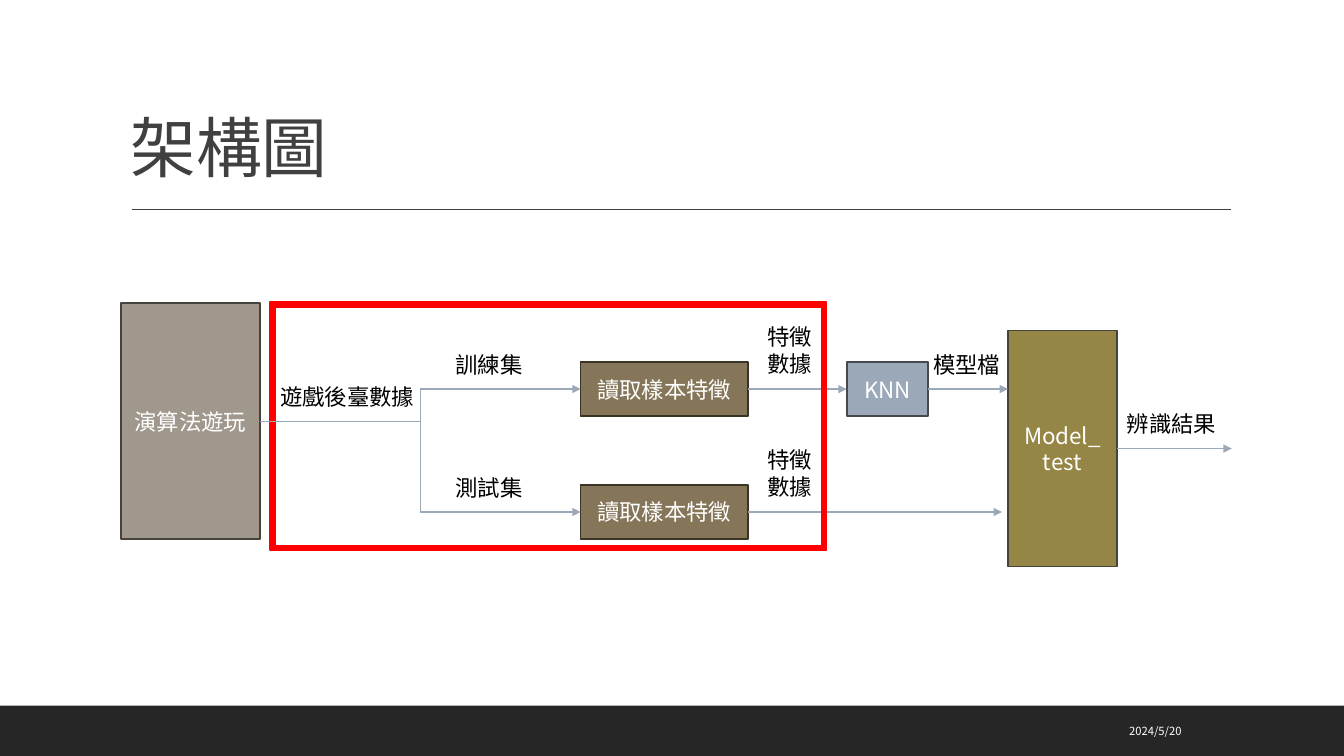
from lxml.etree import SubElement
from pptx import Presentation
from pptx.dml.color import RGBColor
from pptx.enum.shapes import MSO_CONNECTOR as Link, MSO_SHAPE as Shape
from pptx.enum.text import MSO_ANCHOR as Anchor, PP_ALIGN as Align
from pptx.oxml.ns import qn
from pptx.util import Inches, Pt

WIDTH, HEIGHT = Inches(13.333), Inches(7.5)
COLORS = {
    "footer": "262626", "title": "404040", "white": "FFFFFF", "black": "000000",
    "reader": "857659", "reader_edge": "3A3427", "model": "958646",
    "edge": "46433D", "knn": "9BA8B7", "knn_edge": "444A50",
    "player": "A0988C", "flow": "9BA8B7", "focus": "FF0000",
}
BODY_FONT, DATE_FONT = "Noto Sans CJK SC", "Noto Sans CJK TC"

# Positions and sizes are percentages of the slide's width and height.
PLAYER_X, PLAYER_W = 9, 10.35
READER_X, READER_W = 43.2, 12.45
KNN_X, KNN_W = 63, 6.08
MODEL_X, MODEL_W = 75, 8.1
PLAYER_END, READER_END = PLAYER_X + PLAYER_W, READER_X + READER_W
KNN_END, MODEL_END = KNN_X + KNN_W, MODEL_X + MODEL_W
RESULT_END = 91.65
TRAIN_Y, TEST_Y, PLAYER_Y, MODEL_Y = 51.47, 67.73, 55.73, 59.33
STEP_H, TALL_H = 7.2, 31.2
LABEL_GAP, LINE_H, LABEL_PAD = 0.8, 3.6, 1.33


def color(name):
    return RGBColor.from_string(COLORS[name])


def across(share):
    return round(WIDTH * share / 100)


def down(share):
    return round(HEIGHT * share / 100)


def area(x, y, w, h):
    return across(x), down(y), across(w), down(h)


def write(frame, text, size, ink, align=Align.LEFT, anchor=Anchor.TOP, font=BODY_FONT):
    frame.word_wrap = True
    frame.vertical_anchor = anchor
    frame.text = text
    for paragraph in frame.paragraphs:
        paragraph.alignment = align
        for run in paragraph.runs:
            run.font.size = Pt(size)
            run.font.name = font
            run.font.color.rgb = color(ink)
            SubElement(run.font._element, qn("a:ea"), typeface=font)


def add_text(slide, place, text, size, ink, **style):
    frame = slide.shapes.add_textbox(*area(*place)).text_frame
    write(frame, text, size, ink, **style)
    return frame


def add_block(slide, kind, place, fill, edge=None):
    block = slide.shapes.add_shape(kind, *area(*place))
    block.shadow.inherit = False
    block.fill.solid()
    block.fill.fore_color.rgb = color(fill)
    if edge:
        block.line.color.rgb = color(edge)
        block.line.width = Pt(1.25)
    else:
        block.line.fill.background()
    return block


def add_step(slide, x, middle, w, h, text, fill, edge):
    """Draw a labelled process box centred on the height of its flow."""
    step = add_block(slide, Shape.RECTANGLE, (x, middle - h / 2, w, h), fill, edge)
    write(step.text_frame, text, 16, "white", align=Align.CENTER, anchor=Anchor.MIDDLE)


def add_label(slide, x, flow_y, w, text, lines=1):
    """Place a label so that it ends just above its flow line."""
    h = lines * LINE_H + LABEL_PAD
    add_text(slide, (x, flow_y - LABEL_GAP - h, w, h), text, 16, "black")


def add_line(slide, start, end, ink, kind=Link.STRAIGHT, arrow=True):
    line = slide.shapes.add_connector(
        kind, across(start[0]), down(start[1]), across(end[0]), down(end[1]))
    line.line.color.rgb = color(ink)
    line.line.width = Pt(1)
    if arrow:
        SubElement(line.line._get_or_add_ln(), qn("a:tailEnd"), type="triangle")
    SubElement(line._element.spPr, qn("a:effectLst"))


def add_page_frame(slide):
    add_block(slide, Shape.RECTANGLE, (0, 93.33, 100, 6.67), "footer")
    add_line(slide, (9.83, 27.73), (91.6, 27.73), "title", arrow=False)
    title = add_text(slide, (9, 4.13, 82.5, 21.2), "架構圖", 47, "title",
                     anchor=Anchor.BOTTOM)
    heading = title.paragraphs[0]
    heading.line_spacing = 0.9
    heading.runs[0].font._element.set("spc", "-50")
    add_text(slide, (67.43, 94, 21.23, 5.33), "2024/5/20", 8, "white",
             align=Align.RIGHT, anchor=Anchor.MIDDLE, font=DATE_FONT)


def add_steps(slide):
    for flow_y in (TRAIN_Y, TEST_Y):
        add_step(slide, READER_X, flow_y, READER_W, STEP_H, "讀取樣本特徵",
                 "reader", "reader_edge")
    add_step(slide, MODEL_X, MODEL_Y, MODEL_W, TALL_H, "Model_\ntest", "model", "edge")
    add_step(slide, KNN_X, TRAIN_Y, KNN_W, STEP_H, "KNN", "knn", "knn_edge")
    add_step(slide, PLAYER_X, PLAYER_Y, PLAYER_W, TALL_H, "演算法遊玩", "player", "edge")


def add_flows(slide):
    for start_x, end_x, flow_y in (
        (READER_END, KNN_X, TRAIN_Y),
        (KNN_END, MODEL_X, TRAIN_Y),
        (READER_END, 74.55, TEST_Y),
        (MODEL_END, RESULT_END, MODEL_Y),
    ):
        add_line(slide, (start_x, flow_y), (end_x, flow_y), "flow")


def add_labels(slide):
    for flow_y, dataset in ((TRAIN_Y, "訓練集"), (TEST_Y, "測試集")):
        add_label(slide, 33.15, flow_y, 6.9, dataset)
        add_label(slide, 56.33, flow_y, 5.2, "特徵數據", lines=2)
    add_label(slide, 68.7, TRAIN_Y, 6.75, "模型檔")
    add_label(slide, MODEL_END, MODEL_Y, 8.55, "辨識結果")
    add_label(slide, 20.1, PLAYER_Y, 11.78, "遊戲後臺數據")


def add_focus_and_split(slide):
    """Frame the data preparation and split the game data into two sets."""
    focus = add_block(slide, Shape.FRAME, (20.1, 40, 41.4, 32.8), "focus", "focus")
    focus.adjustments[0] = 0.019
    for flow_y in (TRAIN_Y, TEST_Y):
        add_line(slide, (PLAYER_END, PLAYER_Y), (READER_X, flow_y), "flow", Link.ELBOW)


def main():
    deck = Presentation()
    deck.slide_width, deck.slide_height = WIDTH, HEIGHT
    slide = deck.slides.add_slide(deck.slide_layouts[6])
    add_page_frame(slide)
    add_steps(slide)
    add_flows(slide)
    add_labels(slide)
    add_focus_and_split(slide)
    deck.save("out.pptx")


if __name__ == "__main__":
    main()
